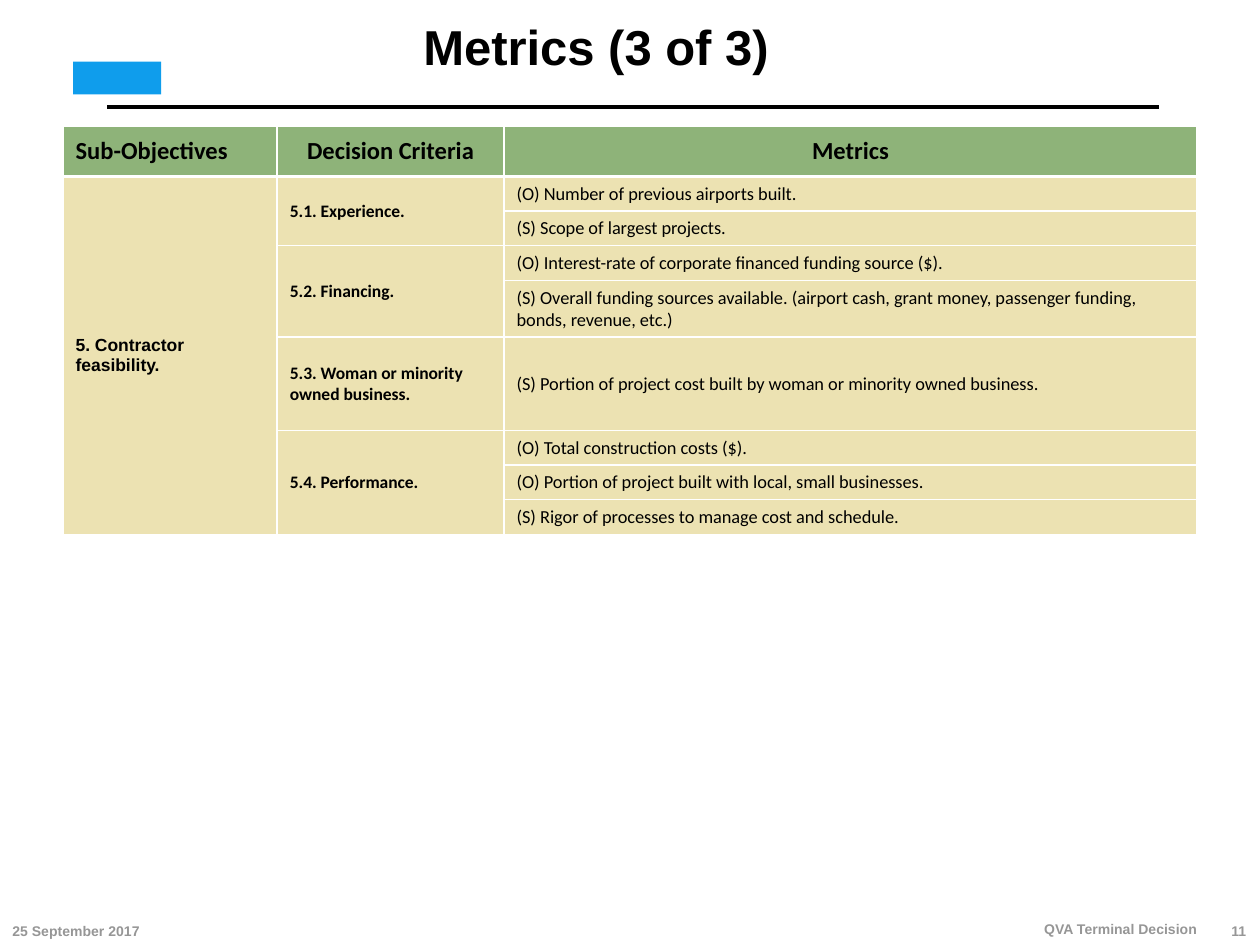
from dataclasses import dataclass

from lxml.etree import SubElement
from pptx import Presentation
from pptx.dml.color import RGBColor
from pptx.enum.shapes import MSO_CONNECTOR, MSO_SHAPE
from pptx.enum.text import MSO_ANCHOR, PP_ALIGN
from pptx.oxml import parse_xml
from pptx.oxml.ns import nsdecls, qn
from pptx.util import Inches, Pt

BLACK = RGBColor(0x00, 0x00, 0x00)
WHITE = RGBColor(0xFF, 0xFF, 0xFF)
GRAY = RGBColor(0x96, 0x96, 0x96)
BLUE = RGBColor(0x0F, 0x9D, 0xEC)
GREEN = RGBColor(0x8E, 0xB3, 0x79)
SAND = RGBColor(0xEC, 0xE2, 0xB2)

COL_WIDTHS = (1.7, 1.8, 5.5)
ROW_HEIGHTS = (0.4, 0.22, 0.22, 0.22, 0.35, 0.74, 0.22, 0.22, 0.22)
HEADERS = ("Sub-Objectives", "Decision Criteria", "Metrics")
OBJECTIVE = "5. Contractor feasibility."


@dataclass
class Criterion:
    name: str
    metrics: tuple[str, ...]


@dataclass
class Label:
    text: str
    left: float
    top: float
    width: float
    height: float
    size: float
    color: RGBColor
    align: PP_ALIGN
    anchor: MSO_ANCHOR
    margins: tuple[float, float] = (0.1, 0.05)
    spacing: float = 1.0


CRITERIA = (
    Criterion("5.1. Experience.", (
        "(O) Number of previous airports built.",
        "(S) Scope of largest projects.",
    )),
    Criterion("5.2. Financing.", (
        "(O) Interest-rate of corporate financed funding source ($).",
        "(S) Overall funding sources available. (airport cash, grant money, "
        "passenger funding, bonds, revenue, etc.)",
    )),
    Criterion("5.3. Woman or minority owned business.", (
        "(S) Portion of project cost built by woman or minority owned business.",
    )),
    Criterion("5.4. Performance.", (
        "(O) Total construction costs ($).",
        "(O) Portion of project built with local, small businesses.",
        "(S) Rigor of processes to manage cost and schedule.",
    )),
)

LABELS = (
    Label("Metrics (3 of 3)", 0.73, 0, 8, 0.78, 28, BLACK, PP_ALIGN.CENTER,
          MSO_ANCHOR.MIDDLE, (0, 0), 0.9),
    Label("25 September 2017", 0, 7.25, 2, 0.25, 8, GRAY, PP_ALIGN.LEFT, MSO_ANCHOR.BOTTOM),
    Label("11", 9.59, 7.25, 0.4, 0.25, 8, GRAY, PP_ALIGN.RIGHT, MSO_ANCHOR.BOTTOM),
    Label("QVA Terminal Decision", 6.6, 7.24, 3, 0.25, 8, GRAY, PP_ALIGN.RIGHT,
          MSO_ANCHOR.BOTTOM),
)


def style(p, size: float, color: RGBColor, name: str, bold: bool, align) -> None:
    p.alignment = align
    p.font.size = Pt(size)
    p.font.color.rgb = color
    p.font.name = name
    p.font.bold = bold


def add_label(s, label: Label) -> None:
    sp = s.shapes.add_textbox(Inches(label.left), Inches(label.top),
                              Inches(label.width), Inches(label.height))
    tf = sp.text_frame
    tf.word_wrap = True
    tf.vertical_anchor = label.anchor
    tf.margin_left = tf.margin_right = Inches(label.margins[0])
    tf.margin_top = tf.margin_bottom = Inches(label.margins[1])
    p = tf.paragraphs[0]
    p.text = label.text
    p.line_spacing = label.spacing
    style(p, label.size, label.color, "Arial", True, label.align)


def add_rule(s, left: float, right: float, y: float) -> None:
    line = s.shapes.add_connector(MSO_CONNECTOR.STRAIGHT, Inches(left), Inches(y),
                                  Inches(right), Inches(y))
    line.line.color.rgb = BLACK
    line.line.width = Pt(2.5)
    SubElement(line._element.spPr, qn("a:effectLst"))


def add_emblem(s) -> None:
    sp = s.shapes.add_shape(MSO_SHAPE.RECTANGLE, Inches(0.58), Inches(0.49),
                            Inches(0.7), Inches(0.26))
    sp.shadow.inherit = False
    sp.fill.solid()
    sp.fill.fore_color.rgb = BLUE
    sp.line.fill.background()


def format_cell(cell, fill: RGBColor, row: int) -> None:
    cell.fill.solid()
    cell.fill.fore_color.rgb = fill
    cell.vertical_anchor = MSO_ANCHOR.MIDDLE
    widths = {"L": 1, "R": 1, "T": 2.25 if row == 1 else 1, "B": 2.25 if row == 0 else 1}
    tcPr = cell._tc.get_or_add_tcPr()
    for i, (side, width) in enumerate(widths.items()):
        tcPr.insert(i, parse_xml(
            f'<a:ln{side} {nsdecls("a")} w="{Pt(width)}"><a:solidFill>'
            f'<a:srgbClr val="{WHITE}"/></a:solidFill></a:ln{side}>'))


def write_cell(cell, text: str, size: float, name: str = "Calibri",
               bold: bool = True, align=PP_ALIGN.LEFT) -> None:
    p = cell.text_frame.paragraphs[0]
    p.text = text
    style(p, size, BLACK, name, bold, align)


def add_metrics_table(s) -> None:
    table = s.shapes.add_table(len(ROW_HEIGHTS), len(COL_WIDTHS), Inches(0.5), Inches(1),
                               Inches(sum(COL_WIDTHS)), Inches(sum(ROW_HEIGHTS))).table
    for column, width in zip(table.columns, COL_WIDTHS):
        column.width = Inches(width)
    for i, (row, height) in enumerate(zip(table.rows, ROW_HEIGHTS)):
        row.height = Inches(height)
        for cell in row.cells:
            format_cell(cell, SAND if i else GREEN, i)
            cell.text_frame.paragraphs[0].font.size = Pt(10)

    for i, header in enumerate(HEADERS):
        write_cell(table.cell(0, i), header, 14,
                   align=PP_ALIGN.CENTER if i else PP_ALIGN.LEFT)
    table.cell(1, 0).merge(table.cell(len(ROW_HEIGHTS) - 1, 0))
    write_cell(table.cell(1, 0), OBJECTIVE, 10, "Arial")

    top = 1
    for criterion in CRITERIA:
        count = len(criterion.metrics)
        if count > 1:
            table.cell(top, 1).merge(table.cell(top + count - 1, 1))
        write_cell(table.cell(top, 1), criterion.name, 10)
        for i, metric in enumerate(criterion.metrics, top):
            write_cell(table.cell(i, 2), metric, 10.5, bold=False)
        top += count


def main() -> None:
    prs = Presentation()
    prs.slide_width, prs.slide_height = Inches(10), Inches(7.5)
    s = prs.slides.add_slide(prs.slide_layouts[6])
    add_rule(s, 0.85, 9.2, 0.85)
    add_emblem(s)
    for label in LABELS:
        add_label(s, label)
    add_metrics_table(s)
    prs.save("out.pptx")


if __name__ == "__main__":
    main()
